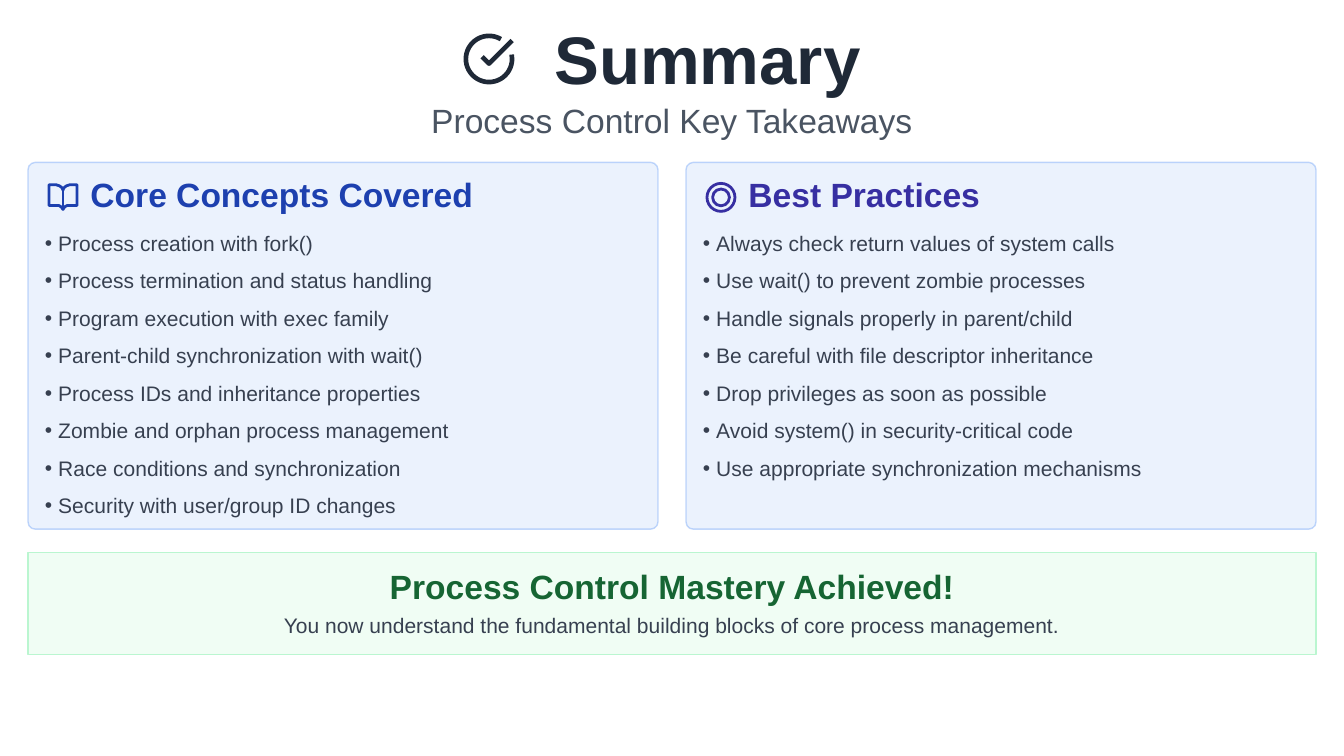
from pptx import Presentation
from pptx.dml.color import RGBColor as Rgb
from pptx.enum.shapes import MSO_CONNECTOR as Link, MSO_SHAPE as Kind
from pptx.enum.text import MSO_ANCHOR as Anchor, MSO_AUTO_SIZE as Auto, PP_ALIGN as Align
from pptx.oxml.ns import qn
from pptx.util import Inches, Pt
from lxml.etree import SubElement as Sub

COLS, ROWS = 48, 27
UNIT = Inches(20) / COLS
NAVY, GREY, BODY = "1F2937", "4A5462", "374050"
BLUE, INDIGO, GREEN, TINT = "1D40AF", "372FA2", "166533", "3B81F5"

CORE = [
    "Process creation with fork()",
    "Process termination and status handling",
    "Program execution with exec family",
    "Parent-child synchronization with wait()",
    "Process IDs and inheritance properties",
    "Zombie and orphan process management",
    "Race conditions and synchronization",
    "Security with user/group ID changes",
]
BEST = [
    "Always check return values of system calls",
    "Use wait() to prevent zombie processes",
    "Handle signals properly in parent/child",
    "Be careful with file descriptor inheritance",
    "Drop privileges as soon as possible",
    "Avoid system() in security-critical code",
    "Use appropriate synchronization mechanisms",
]


def grid(*cells):
    return [round(c * UNIT) for c in cells]


def paint(fill, hue, alpha=100):
    fill.solid()
    fill.fore_color.rgb = Rgb.from_string(hue)
    if alpha < 100:
        tone = fill._xPr.find(qn("a:solidFill"))[0]
        Sub(tone, qn("a:alpha")).set("val", str(alpha * 1000))


def style(shape, hue, width, fill=None, alpha=100, edge=100):
    shape.shadow.inherit = False
    if fill:
        paint(shape.fill, fill, alpha)
    else:
        shape.fill.background()
    paint(shape.line.fill, hue, edge)
    shape.line.width = Pt(width)
    return shape


def write(para, text, size=22.5, hue=BODY, bold=False, align=Align.LEFT, space=0, indent=0):
    run = para.add_run()
    run.text = text
    font = run.font
    font.name, font.size, font.bold = "Arial", Pt(size), bold
    paint(font.fill, hue)
    para.alignment = align
    para.space_before = Pt(space)
    if indent:
        para._p.get_or_add_pPr().set("marL", str(Inches(indent)))
        para._p.get_or_add_pPr().set("indent", str(-Inches(indent)))


def fit(frame, top=0.01):
    frame.word_wrap = True
    frame.auto_size = Auto.NONE
    frame.vertical_anchor = Anchor.TOP
    frame.margin_left = frame.margin_right = frame.margin_bottom = 0
    frame.margin_top = Inches(top)
    return frame


def place(holder, box):
    holder.left, holder.top, holder.width, holder.height = grid(*box)
    node = holder._element
    node.getparent().append(node)


def label(slide, box, text, **form):
    frame = fit(slide.shapes.add_textbox(*grid(*box)).text_frame)
    write(frame.paragraphs[0], text, **form)


def trace(slide, points, hue, width, closed):
    spots = [grid(*p) for p in points]
    path = slide.shapes.build_freeform(*spots[0], scale=1.0)
    path.add_line_segments(spots[1:], close=closed)
    style(path.convert_to_shape(), hue, width)


def check(slide, x, y, size):
    arc = style(slide.shapes.add_shape(Kind.ARC, *grid(x, y, size, size)), NAVY, 5)
    for i, angle in enumerate((349, 301)):
        arc.adjustments[i] = angle * 0.6
    tick = [(0.35, 0.45), (0.5, 0.6), (1, 0.1)]
    trace(slide, [(x + u * size, y + v * size) for u, v in tick], NAVY, 5, False)


def book(slide, x, y, size):
    half = [(0, 0.93), (0.06, 0.84), (0.15, 0.79), (0.5, 0.79), (0.5, 0.05),
            (0.24, 0.05), (0.12, 0.09), (0.03, 0.16), (0, 0.24)]
    whole = half + [(-u, v) for u, v in half[-2:0:-1]]
    mid = x + size / 2
    trace(slide, [(mid + u * size, y + v * size) for u, v in whole], BLUE, 3, True)
    ends = grid(mid, y + 0.24 * size, mid, y + 0.93 * size)
    spine = slide.shapes.add_connector(Link.STRAIGHT, *ends)
    paint(spine.line.fill, BLUE)
    spine.line.width = Pt(3)
    Sub(spine._element.spPr, qn("a:effectLst"))


def target(slide, x, y, size):
    for gap in (0, 0.2 * size):
        side = size - 2 * gap
        ring = slide.shapes.add_shape(Kind.OVAL, *grid(x + gap, y + gap, side, side))
        style(ring, INDIGO, 3)


def header(slide, box):
    x, y, w, h = box
    check(slide, x + 0.34 * w, y + 0.15 * h, 1.65)
    title = slide.shapes.title
    place(title, (x + 18.8, y, 11, 0.65 * h))
    write(fit(title.text_frame).paragraphs[0], "Summary", size=72, hue=NAVY, bold=True)
    label(slide, (x + 14.4, y + 0.65 * h, 17.3, 0.35 * h),
          "Process Control Key Takeaways", size=36, hue=GREY)


def card(slide, box, holder, icon, head, hue, items):
    x, y, w, h = box
    panel = slide.shapes.add_shape(Kind.ROUNDED_RECTANGLE, *grid(*box))
    panel.adjustments[0] = 0.02
    style(panel, TINT, 1.5, TINT, 10, 30)
    icon(slide, x + 0.75, y + 0.75, 1)
    label(slide, (x + 2.23, y + 0.4, w - 4, 1.5), head, size=36, hue=hue, bold=True)
    place(holder, (x + 0.6, y + 2, 0.7 * w, h - 2.6))
    frame = fit(holder.text_frame, 0.18)
    for i, item in enumerate(items):
        para = frame.add_paragraph() if i else frame.paragraphs[0]
        write(para, item, space=13.1 if i else 0, indent=0.2)


def banner(slide, box):
    band = slide.shapes.add_shape(Kind.RECTANGLE, *grid(*box))
    style(band, "BAF6D0", 1.5, "F0FDF4")
    frame = fit(band.text_frame, 0.2)
    write(frame.paragraphs[0], "Process Control Mastery Achieved!",
          size=36, hue=GREEN, bold=True, align=Align.CENTER)
    write(frame.add_paragraph(),
          "You now understand the fundamental building blocks of core process management.",
          align=Align.CENTER, space=6.3)


def main():
    deck = Presentation()
    deck.slide_width, deck.slide_height = grid(COLS, ROWS)
    slide = deck.slides.add_slide(deck.slide_layouts[3])
    left, right = list(slide.placeholders)[1:3]
    wide = COLS - 2
    half = (wide - 1) / 2
    header(slide, (1, 0.6, wide, 4.55))
    card(slide, (1, 5.8, half, 13.1), left, book, "Core Concepts Covered", BLUE, CORE)
    card(slide, (2 + half, 5.8, half, 13.1), right, target, "Best Practices", INDIGO, BEST)
    banner(slide, (1, 19.73, wide, 3.65))
    deck.save("out.pptx")


if __name__ == "__main__":
    main()
